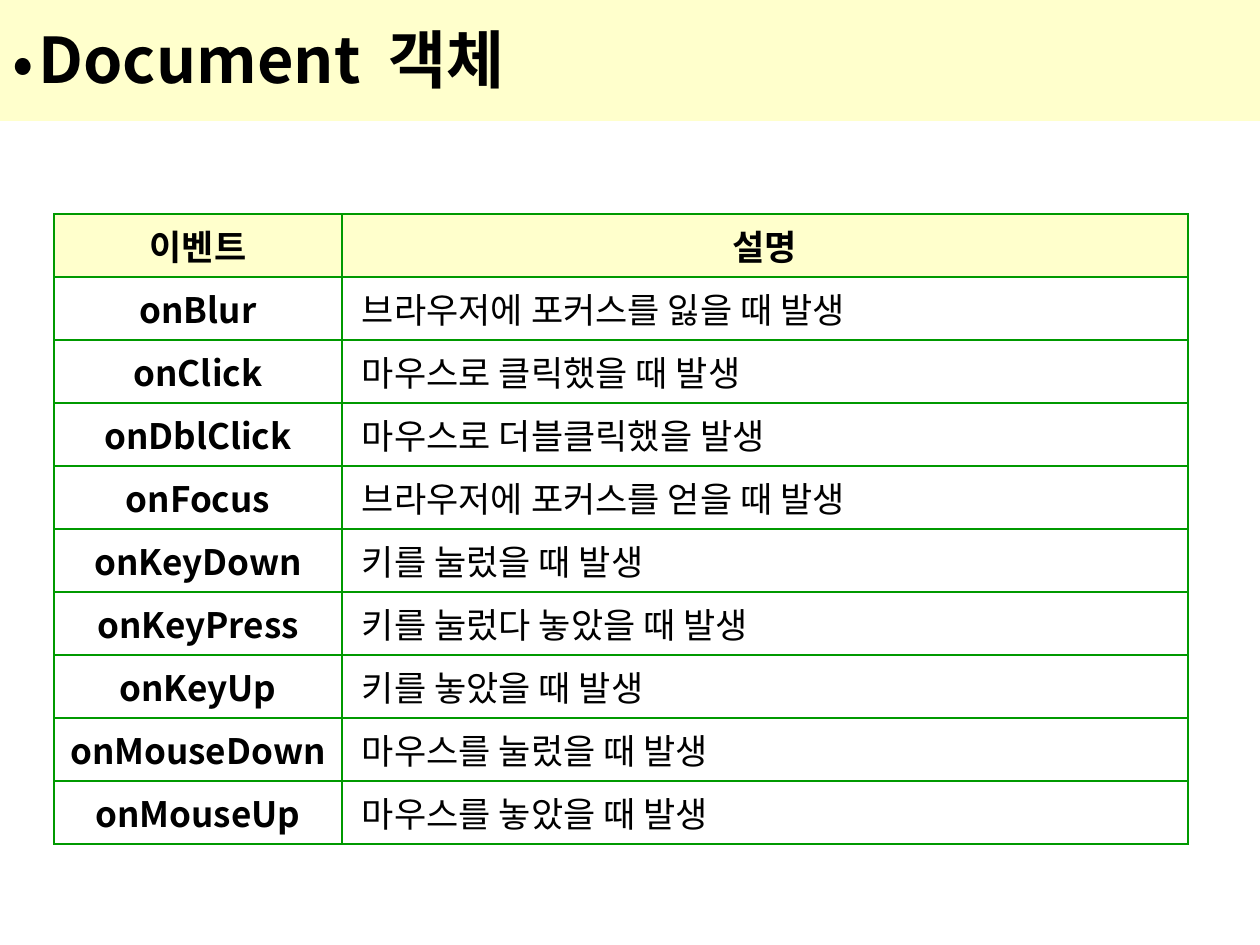
from pptx import Presentation
from pptx.dml.color import RGBColor
from pptx.enum.text import MSO_ANCHOR, MSO_AUTO_SIZE, PP_ALIGN
from pptx.oxml import parse_xml
from pptx.oxml.ns import nsdecls
from pptx.util import Pt

TITLE_WORDS = ["Document", "객체"]
HEADER = ("이벤트", "설명")
EVENTS = [
    ("onBlur", "브라우저에 포커스를 잃을 때 발생"),
    ("onClick", "마우스로 클릭했을 때 발생"),
    ("onDblClick", "마우스로 더블클릭했을 발생"),
    ("onFocus", "브라우저에 포커스를 얻을 때 발생"),
    ("onKeyDown", "키를 눌렀을 때 발생"),
    ("onKeyPress", "키를 눌렀다 놓았을 때 발생"),
    ("onKeyUp", "키를 놓았을 때 발생"),
    ("onMouseDown", "마우스를 눌렀을 때 발생"),
    ("onMouseUp", "마우스를 놓았을 때 발생"),
]
COLORS = {"band": "FFFFCC", "text": "000000", "grid": "009900"}
FONT = "Noto Sans CJK KR"
SLIDE_SIZE = (1260, 945)
TITLE_BOX = (0, -4, 1260, 125)
BULLET_INDENT = 26
TABLE_LEFT, TABLE_TOP = 54, 214
COLUMN_WIDTHS = (288, 846)
ROW_HEIGHT = 63
SIDE_MARGIN, DESCRIPTION_MARGIN, EDGE_MARGIN = 13, 20, 6


def px(length):
    return length * 914400 // 126


def color(name):
    return RGBColor.from_string(COLORS[name])


def add_run(paragraph, text, size, bold):
    run = paragraph.add_run()
    run.text = text
    font = run.font
    font.size, font.bold, font.name = Pt(size), bold, FONT
    font.color.rgb = color("text")
    font._element.append(parse_xml(f'<a:ea {nsdecls("a")} typeface="{FONT}"/>'))
    return run


def fill_band(fill):
    fill.solid()
    fill.fore_color.rgb = color("band")


def border_cell(cell):
    properties = cell._tc.get_or_add_tcPr()
    for position, side in enumerate(("lnL", "lnR", "lnT", "lnB")):
        properties.insert(position, parse_xml(
            f'<a:{side} {nsdecls("a")} w="{Pt(1.08)}"><a:solidFill>'
            f'<a:srgbClr val="{COLORS["grid"]}"/></a:solidFill></a:{side}>'))


def add_title(slide):
    title = slide.shapes.title
    title.left, title.top, title.width, title.height = map(px, TITLE_BOX)
    fill_band(title.fill)
    frame = title.text_frame
    frame.auto_size = MSO_AUTO_SIZE.NONE
    frame.vertical_anchor = MSO_ANCHOR.MIDDLE
    paragraph = frame.paragraphs[0]
    paragraph.alignment = PP_ALIGN.LEFT
    properties = paragraph._p.get_or_add_pPr()
    properties.set("marL", str(px(BULLET_INDENT)))
    properties.set("indent", str(-px(BULLET_INDENT)))
    for bullet_part in (
            f'<a:buClr {nsdecls("a")}><a:srgbClr val="{COLORS["text"]}"/></a:buClr>',
            f'<a:buFont {nsdecls("a")} typeface="{FONT}"/>',
            f'<a:buChar {nsdecls("a")} char="•"/>'):
        properties.append(parse_xml(bullet_part))
    first_word, second_word = TITLE_WORDS
    add_run(paragraph, first_word, 36, True)
    gap = add_run(paragraph, " ", 36, True)
    gap.font._element.set("spc", "800")
    add_run(paragraph, second_word, 36, True)


def add_event_table(slide):
    rows = [HEADER] + EVENTS
    table = slide.shapes.add_table(
        len(rows), len(COLUMN_WIDTHS), px(TABLE_LEFT), px(TABLE_TOP),
        px(sum(COLUMN_WIDTHS)), px(ROW_HEIGHT * len(rows))).table
    table.first_row = table.horz_banding = False
    for column, width in zip(table.columns, COLUMN_WIDTHS):
        column.width = px(width)
    for row_index, row in enumerate(rows):
        table.rows[row_index].height = px(ROW_HEIGHT)
        for column_index, text in enumerate(row):
            cell = table.cell(row_index, column_index)
            is_header = row_index == 0
            is_description = column_index == 1 and not is_header
            cell.vertical_anchor = MSO_ANCHOR.MIDDLE
            cell.margin_left = px(DESCRIPTION_MARGIN if is_description else SIDE_MARGIN)
            cell.margin_right = px(SIDE_MARGIN)
            cell.margin_top = cell.margin_bottom = px(EDGE_MARGIN)
            if is_header:
                fill_band(cell.fill)
            else:
                cell.fill.background()
            border_cell(cell)
            paragraph = cell.text_frame.paragraphs[0]
            paragraph.alignment = PP_ALIGN.LEFT if is_description else PP_ALIGN.CENTER
            add_run(paragraph, text, 20, not is_description)


def main():
    presentation = Presentation()
    presentation.slide_width, presentation.slide_height = map(px, SLIDE_SIZE)
    slide = presentation.slides.add_slide(presentation.slide_layouts[5])
    add_title(slide)
    add_event_table(slide)
    presentation.save("out.pptx")


if __name__ == "__main__":
    main()
